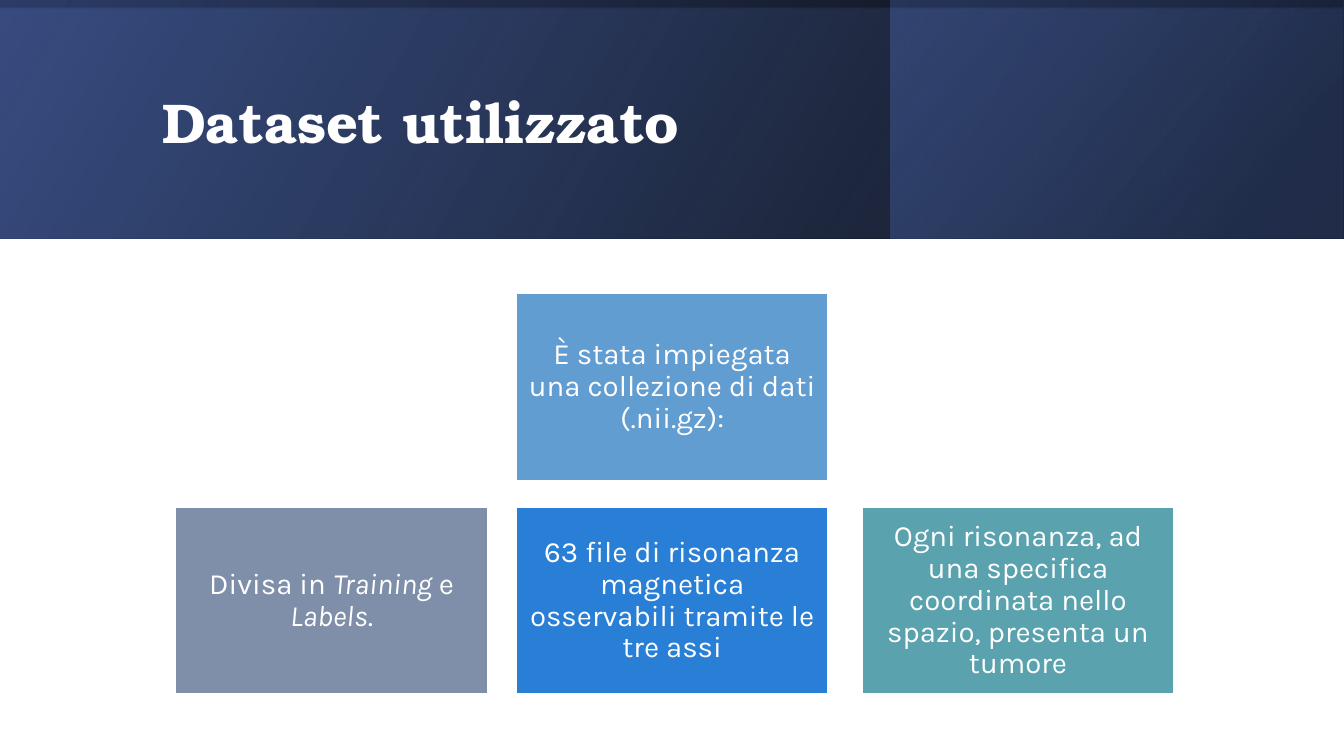
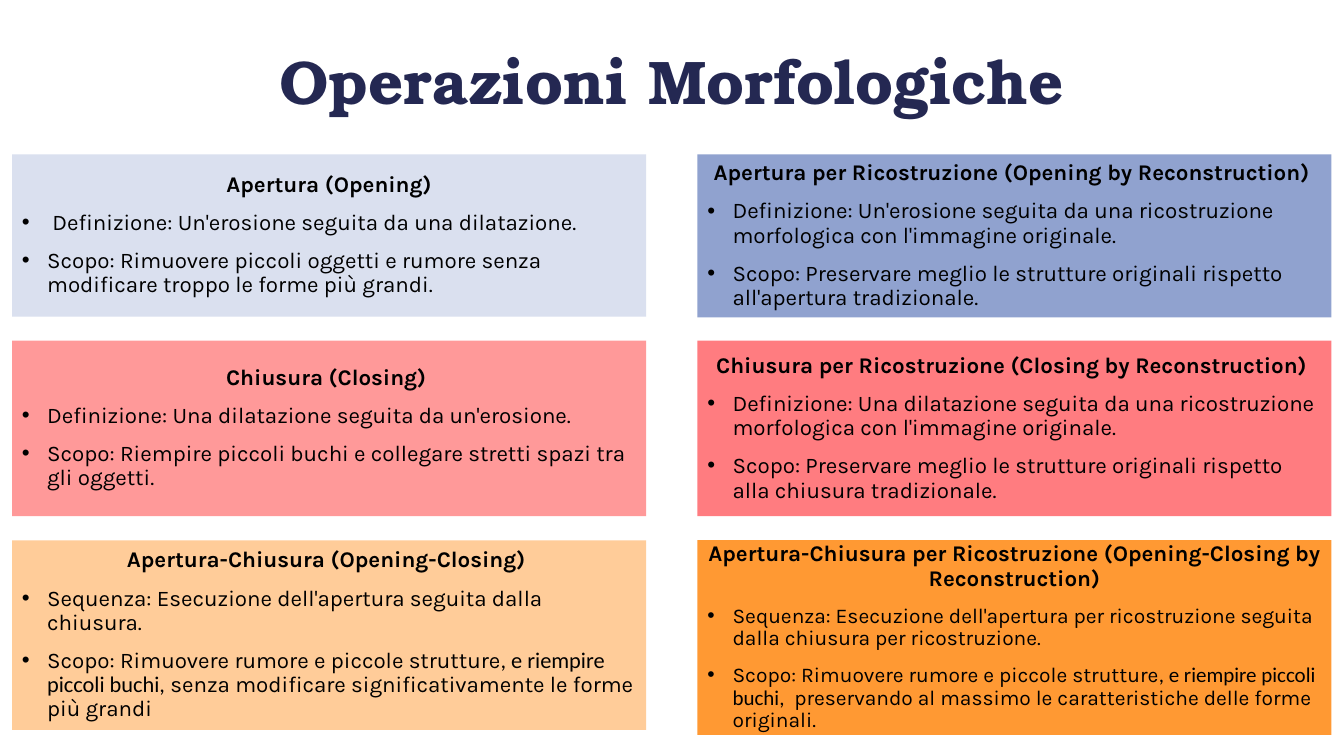
"""Build two slides: the dataset used and the morphological operations."""
import lxml.etree
import pptx
import pptx.dml.color
import pptx.enum.shapes
import pptx.enum.text
import pptx.oxml.ns
import pptx.util

Pt = pptx.util.Pt
rgb = pptx.dml.color.RGBColor.from_string
qn = pptx.oxml.ns.qn
LEFT = pptx.enum.text.PP_ALIGN.LEFT
CENTER = pptx.enum.text.PP_ALIGN.CENTER
TITLE_STYLE = {"font": "TeX Gyre Bonum", "bold": True}
NAVY, WHITE, BLACK = "384C81", "FFFFFF", "000000"


def write(shape, text, size, color, font="Karla", bold=False, align=CENTER, before=0,
          bullet=False, accent_font=None, accent_italic=False):
    """Add a paragraph; parts between bars take the accent format."""
    frame = shape.text_frame
    frame.word_wrap = True
    frame.auto_size = pptx.enum.text.MSO_AUTO_SIZE.NONE
    frame.vertical_anchor = pptx.enum.text.MSO_ANCHOR.MIDDLE
    paragraph = frame.add_paragraph() if frame.text else frame.paragraphs[0]
    paragraph.alignment = align
    paragraph.line_spacing = 0.9
    paragraph.space_before = Pt(before)
    if bullet:
        properties = paragraph._p.get_or_add_pPr()
        properties.set("marL", str(Pt(18)))
        properties.set("indent", str(Pt(-18)))
        lxml.etree.SubElement(properties, qn("a:buFont")).set("typeface", "Arial")
        lxml.etree.SubElement(properties, qn("a:buChar")).set("char", "•")
    for index, part in enumerate(text.split("|")):
        accent = index % 2 == 1
        run = paragraph.add_run()
        run.text = part
        run.font.size = Pt(size)
        run.font.name = accent_font if accent and accent_font else font
        run.font.bold = bold
        run.font.italic = accent and accent_italic
        run.font.color.rgb = rgb(color)


def add_rectangle(slide, left, top, width, height, color=None, outline=None):
    """Add a flat rectangle, filled and outlined when colours are given."""
    shape = slide.shapes.add_shape(pptx.enum.shapes.MSO_SHAPE.RECTANGLE,
                                   Pt(left), Pt(top), Pt(width), Pt(height))
    shape.shadow.inherit = False
    if color:
        shape.fill.solid()
        shape.fill.fore_color.rgb = rgb(color)
    if outline:
        shape.line.color.rgb = rgb(outline)
        shape.line.width = Pt(1.5)
    else:
        shape.line.fill.background()
    return shape


presentation = pptx.Presentation()
presentation.slide_width = Pt(960)
presentation.slide_height = Pt(540)

titles = [
    ("Dataset utilizzato", 40, WHITE, LEFT, (108.7, 27.4, 765.4, 123.8)),
    ("Operazioni Morfologiche", 44, "242852", CENTER, (66.2, 19.4, 828, 81.4)),
]
slides = []
for text, size, color, align, place in titles:
    slide = presentation.slides.add_slide(presentation.slide_layouts[5])
    title = slide.shapes.title
    title.left, title.top, title.width, title.height = [Pt(length) for length in place]
    write(title, text, size, color, align=align, **TITLE_STYLE)
    slides.append(slide)
dataset_slide, operations_slide = slides

bands = [
    (0, 960, 30, [(0, NAVY, 100), (100, BLACK, 96)]),
    (636.2, 323.8, 40, [(0, "4A66AC", 48), (81, "253356", 68)]),
    (0, 960, 90, [(3, BLACK, 20), (4, NAVY, 16)]),
]
for left, width, angle, stops in bands:
    band = add_rectangle(dataset_slide, left, 0, width, 170.6)
    gradient = lxml.etree.Element(qn("a:gradFill"))
    stop_list = lxml.etree.SubElement(gradient, qn("a:gsLst"))
    for position, color, opacity in stops:
        stop = lxml.etree.SubElement(stop_list, qn("a:gs"))
        stop.set("pos", str(position * 1000))
        stop_color = lxml.etree.SubElement(stop, qn("a:srgbClr"))
        stop_color.set("val", color)
        lxml.etree.SubElement(stop_color, qn("a:alpha")).set("val", str(opacity * 1000))
    direction = lxml.etree.SubElement(gradient, qn("a:lin"))
    direction.set("ang", str(angle * 60000))
    direction.set("scaled", "0")
    band._element.spPr.find(qn("a:prstGeom")).addnext(gradient)
title_element = dataset_slide.shapes.title._element
title_element.getparent().append(title_element)

cards = [
    (368.6, 209.5, "629DD1", "È stata impiegata una collezione di dati (.nii.gz):"),
    (125.3, 362.2, "7F8FA9", "Divisa in |Training| e |Labels|."),
    (368.6, 362.2, "297FD5",
     "63 file di risonanza magnetica osservabili tramite le tre assi"),
    (615.6, 362.2, "5AA2AE",
     "Ogni risonanza, ad una specifica coordinata nello spazio, presenta un tumore"),
]
for left, top, color, text in cards:
    card = add_rectangle(dataset_slide, left, top, 223.2, 133.9, color, outline=WHITE)
    frame = card.text_frame
    frame.margin_left = frame.margin_right = Pt(6.3)
    frame.margin_top = frame.margin_bottom = Pt(6.3)
    write(card, text, 21, WHITE, accent_italic=True)

left_column, right_column = 8.6, 498.2
first_row, second_row, third_row = 110.2, 243.4, 385.9
operations = [
    (left_column, first_row, 115.9, "DAE0EF", 16, "Apertura (Opening)",
     " Definizione: Un'erosione seguita da una dilatazione.",
     "Scopo: Rimuovere piccoli oggetti e rumore senza modificare troppo le forme più grandi."),
    (right_column, first_row, 116.6, "90A2CF", 16,
     "Apertura per Ricostruzione (Opening by Reconstruction) ",
     "Definizione: Un'erosione seguita da una ricostruzione morfologica con l'immagine originale.",
     "Scopo: Preservare meglio le strutture originali rispetto all'apertura tradizionale."),
    (left_column, second_row, 125.3, "FF9999", 16, "Chiusura (Closing) ",
     "Definizione: Una dilatazione seguita da un'erosione.",
     "Scopo: Riempire piccoli buchi e collegare stretti spazi tra gli oggetti."),
    (right_column, second_row, 125.3, "FF7C80", 16,
     "Chiusura per Ricostruzione (Closing by Reconstruction) ",
     "Definizione: Una dilatazione seguita da una ricostruzione morfologica "
     "con l'immagine originale.",
     "Scopo: Preservare meglio le strutture originali rispetto alla chiusura tradizionale."),
    (left_column, third_row, 135.4, "FFCC99", 16, "Apertura-Chiusura (Opening-Closing) ",
     "Sequenza: Esecuzione dell'apertura seguita dalla chiusura.",
     "Scopo: Rimuovere rumore e piccole strutture|, e riempire piccoli buchi,| "
     "senza modificare significativamente le forme più grandi"),
    (right_column, third_row, 139, "FF9933", 15,
     "Apertura-Chiusura per Ricostruzione (Opening-Closing by Reconstruction)",
     "Sequenza: Esecuzione dell'apertura per ricostruzione seguita "
     "dalla chiusura per ricostruzione.",
     "Scopo: Rimuovere rumore e piccole strutture|, e riempire piccoli buchi, | "
     "preservando al massimo le caratteristiche delle forme originali."),
]
for left, top, height, color, size, heading, *points in operations:
    box = add_rectangle(operations_slide, left, top, 452.9, height, color)
    write(box, heading, 16, BLACK, bold=True, before=10)
    for point in points:
        write(box, point, size, BLACK, align=LEFT, before=10, bullet=True,
              accent_font="Calibri")

presentation.save("out.pptx")
